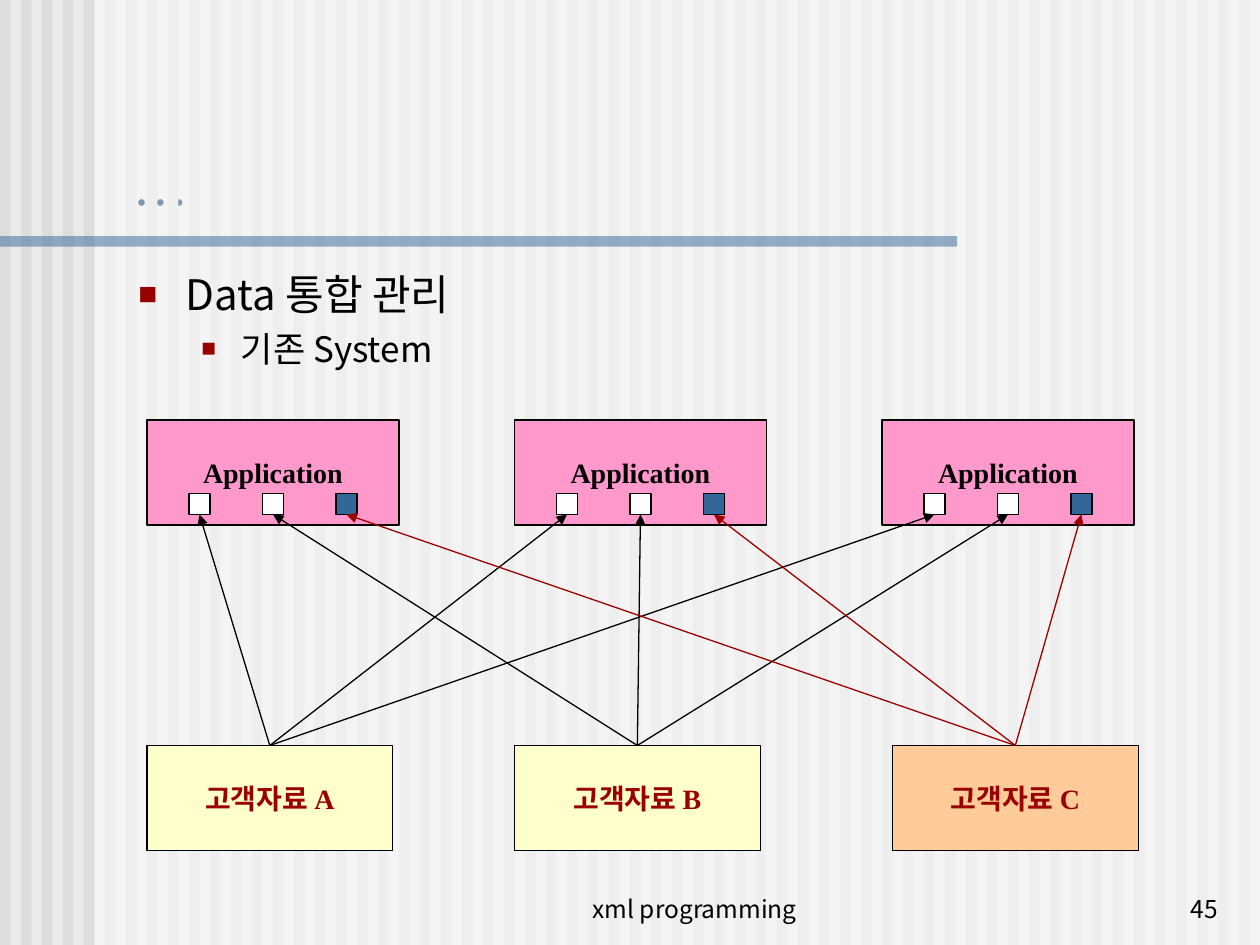
from dataclasses import dataclass
from typing import NamedTuple

from lxml.etree import SubElement
from pptx import Presentation
from pptx.dml.color import RGBColor
from pptx.enum.shapes import MSO_CONNECTOR, MSO_SHAPE
from pptx.enum.text import MSO_ANCHOR, MSO_AUTO_SIZE, PP_ALIGN
from pptx.oxml.ns import qn
from pptx.util import Pt


@dataclass(frozen=True)
class Theme:
    sans: str = "Noto Sans CJK KR"
    serif: str = "Times New Roman"
    black: str = "000000"
    white: str = "FFFFFF"
    paper: str = "EAEAEA"
    stripe: str = "DDDDDD"
    blue: str = "336699"
    navy: str = "003366"
    red: str = "9A0000"
    pink: str = "FF99CC"
    cream: str = "FFFFCC"
    peach: str = "FFCC99"
    title_size: float = 32
    topic_size: float = 24
    subtopic_size: float = 20
    box_size: float = 16
    footer_size: float = 14
    line_width: float = 0.75


THEME = Theme()


class Box(NamedTuple):
    left: float
    top: float
    width: float
    height: float

    def lengths(self) -> list:
        return [Pt(value) for value in self]


class Source(NamedTuple):
    name: str
    left: float
    fill: str
    socket_fill: str
    arrow: str


class Bullet(NamedTuple):
    text: str
    size: float
    indent: float
    hanging: float
    before: float
    percent: int


class Footer(NamedTuple):
    text: str
    box: Box
    align: PP_ALIGN


SLIDE = Box(0, 0, 720, 540)
STRIPE_PITCH, STRIPE_WIDTH = 12, 6
APPLICATION_LEFTS = (84, 294, 504)
SOCKET_INSET, SOCKET_PITCH, SOCKET_SIDE = 24, 42, 12
SOURCES = (
    Source("고객자료 A", 84, THEME.cream, THEME.white, THEME.black),
    Source("고객자료 B", 294, THEME.cream, THEME.white, THEME.black),
    Source("고객자료 C", 510, THEME.peach, THEME.blue, THEME.red),
)
BULLETS = (
    Bullet("Data 통합 관리", THEME.topic_size, 27, 27, 0, 75),
    Bullet("기존 System", THEME.subtopic_size, 58.5, 22.5, 5, 70),
)
FOOTERS = (
    Footer("xml programming", Box(283, 495, 228, 36), PP_ALIGN.CENTER),
    Footer("45", Box(553, 495, 150, 36), PP_ALIGN.RIGHT),
)


def rgb(color: str) -> RGBColor:
    return RGBColor.from_string(color)


def write(paragraph, text: str, size: float, face: str, color: str, bold: bool = False) -> None:
    """Add one run, with the sans face for its Korean letters."""
    run = paragraph.add_run()
    run.text = text
    for attribute, value in {"name": face, "size": Pt(size), "bold": bold}.items():
        setattr(run.font, attribute, value)
    run.font.color.rgb = rgb(color)
    SubElement(run.font._element, qn("a:ea"), typeface=THEME.sans)


def add_rectangle(slide, box: Box, fill: str, outlined: bool = False, opacity: int = 100):
    rectangle = slide.shapes.add_shape(MSO_SHAPE.RECTANGLE, *box.lengths())
    rectangle.shadow.inherit = False
    rectangle.fill.solid()
    rectangle.fill.fore_color.rgb = rgb(fill)
    if opacity < 100:
        color = rectangle._element.spPr.find(f".//{qn('a:srgbClr')}")
        SubElement(color, qn("a:alpha"), val=str(opacity * 1000))
    if outlined:
        rectangle.line.color.rgb = rgb(THEME.black)
        rectangle.line.width = Pt(THEME.line_width)
    else:
        rectangle.line.fill.background()
    return rectangle


def add_labelled_box(slide, box: Box, fill: str, label: str, color: str):
    labelled = add_rectangle(slide, box, fill, outlined=True)
    frame = labelled.text_frame
    frame.word_wrap = False
    frame.vertical_anchor = MSO_ANCHOR.MIDDLE
    frame.paragraphs[0].alignment = PP_ALIGN.CENTER
    write(frame.paragraphs[0], label, THEME.box_size, THEME.serif, color, bold=True)
    return labelled


def add_arrow(slide, source, socket, color: str) -> None:
    """Join the top of a source to the bottom of a socket."""
    arrow = slide.shapes.add_connector(MSO_CONNECTOR.STRAIGHT, 0, 0, 0, 0)
    arrow.begin_connect(source, 0)
    arrow.end_connect(socket, 2)
    arrow.line.color.rgb = rgb(color)
    arrow.line.width = Pt(THEME.line_width)
    SubElement(arrow.line._get_or_add_ln(), qn("a:tailEnd"), type="triangle")
    SubElement(arrow._element.spPr, qn("a:effectLst"))


def add_backdrop(slide) -> None:
    slide.background.fill.solid()
    slide.background.fill.fore_color.rgb = rgb(THEME.paper)
    for left in range(0, SLIDE.width, STRIPE_PITCH):
        add_rectangle(slide, Box(left, 0, STRIPE_WIDTH, SLIDE.height), THEME.stripe)
    add_rectangle(slide, Box(54, 0, 666, SLIDE.height), THEME.white, opacity=50)
    add_rectangle(slide, Box(0, 135, 547, 6), THEME.blue, opacity=50)


def add_title(slide, text: str) -> None:
    title = slide.shapes.title
    title.left, title.top, title.width, title.height = Box(68.4, 67.5, 643, 60).lengths()
    frame = title.text_frame
    frame.auto_size = MSO_AUTO_SIZE.NONE
    frame.vertical_anchor = MSO_ANCHOR.BOTTOM
    frame.paragraphs[0].alignment = PP_ALIGN.LEFT
    write(frame.paragraphs[0], text, THEME.title_size, THEME.serif, THEME.navy)


def add_bullets(slide) -> None:
    frame = slide.shapes.add_textbox(*Box(72, 150, 639, 330).lengths()).text_frame
    frame.word_wrap = True
    for level, bullet in enumerate(BULLETS):
        paragraph = frame.add_paragraph() if level else frame.paragraphs[0]
        paragraph.level = level
        paragraph.space_before = Pt(bullet.before)
        properties = paragraph._p.get_or_add_pPr()
        properties.set("marL", str(Pt(bullet.indent)))
        properties.set("indent", str(-Pt(bullet.hanging)))
        SubElement(SubElement(properties, qn("a:buClr")), qn("a:srgbClr"), val=THEME.red)
        SubElement(properties, qn("a:buSzPct"), val=str(bullet.percent * 1000))
        SubElement(properties, qn("a:buFont"), typeface=THEME.serif)
        SubElement(properties, qn("a:buChar"), char="■")
        write(paragraph, bullet.text, bullet.size, THEME.sans, THEME.black)


def add_footer(slide, footer: Footer) -> None:
    frame = slide.shapes.add_textbox(*footer.box.lengths()).text_frame
    frame.word_wrap = True
    frame.vertical_anchor = MSO_ANCHOR.BOTTOM
    frame.paragraphs[0].alignment = footer.align
    write(frame.paragraphs[0], footer.text, THEME.footer_size, THEME.sans, THEME.black)


def add_data_flow(slide) -> None:
    """Give every application one socket for each source, and link them."""
    for left in APPLICATION_LEFTS:
        add_labelled_box(slide, Box(left, 240, 144, 60), THEME.pink, "Application", THEME.black)
    for column, source in enumerate(SOURCES):
        data = add_labelled_box(slide, Box(source.left, 426, 140.4, 60), source.fill, source.name, THEME.red)
        for left in APPLICATION_LEFTS:
            socket_left = left + SOCKET_INSET + column * SOCKET_PITCH
            socket_box = Box(socket_left, 282, SOCKET_SIDE, SOCKET_SIDE)
            socket = add_rectangle(slide, socket_box, source.socket_fill, outlined=True)
            add_arrow(slide, data, socket, source.arrow)


def main() -> None:
    deck = Presentation()
    deck.slide_width, deck.slide_height = Pt(SLIDE.width), Pt(SLIDE.height)
    slide = deck.slides.add_slide(deck.slide_layouts[5])
    add_backdrop(slide)
    add_title(slide, "…")
    add_bullets(slide)
    for footer in FOOTERS:
        add_footer(slide, footer)
    add_data_flow(slide)
    deck.save("out.pptx")


if __name__ == "__main__":
    main()
